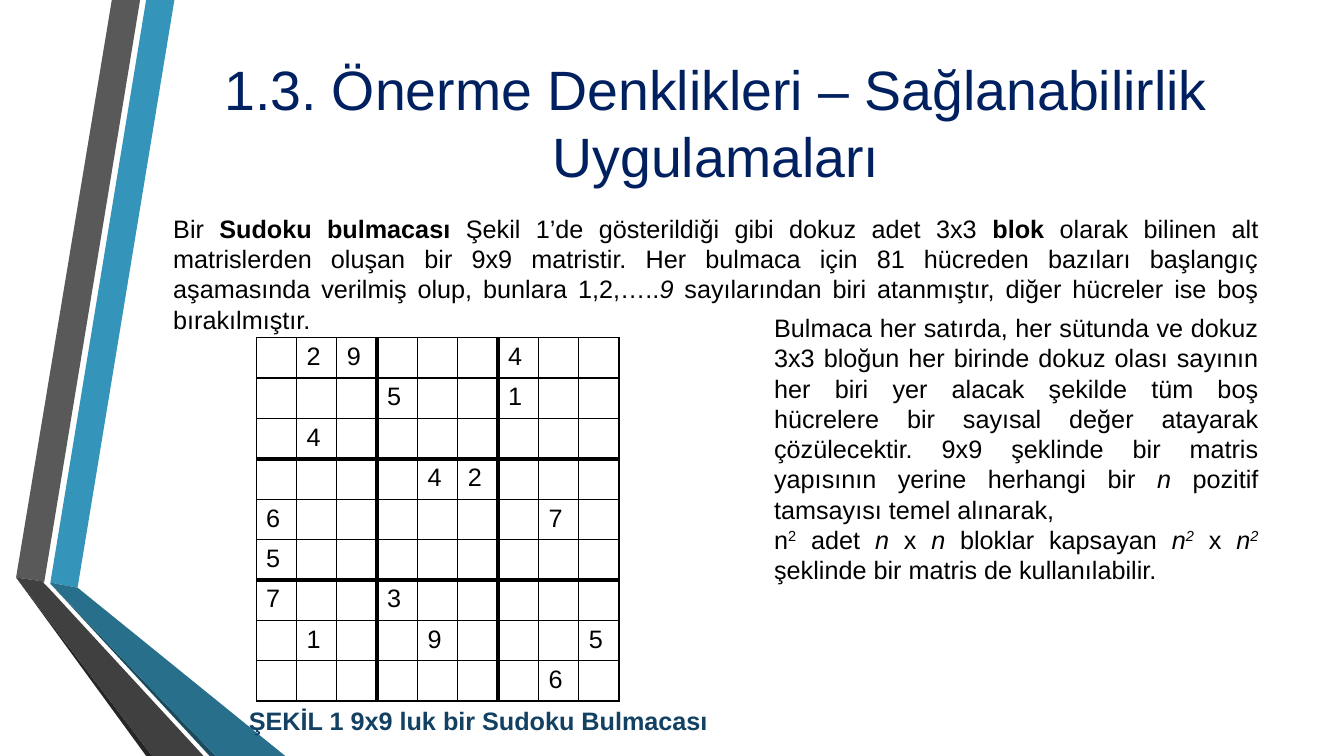
"""Build the Sudoku satisfiability slide on a grid of hundredths of an inch."""
from dataclasses import dataclass

from lxml.etree import SubElement
from pptx import Presentation
from pptx.dml.color import RGBColor
from pptx.enum.text import MSO_ANCHOR, PP_ALIGN
from pptx.oxml.ns import qn
from pptx.slide import Slide
from pptx.table import _Cell
from pptx.util import Inches, Pt

UNIT = Inches(0.01)
COLS, ROWS = 1333, 750
FONT = "Arial"
BODY_SIZE = 18
BLOCK, CELL = 3, 40
SIDE = BLOCK * BLOCK

BLACK = RGBColor(0x00, 0x00, 0x00)
NAVY = RGBColor(0x00, 0x20, 0x60)
CAPTION_BLUE = RGBColor(0x13, 0x41, 0x63)
BLUE = RGBColor(0x34, 0x94, 0xBA)
MID_BLUE = RGBColor(0x27, 0x6F, 0x8B)
DARK_BLUE = RGBColor(0x1A, 0x4A, 0x5D)
GRAY = RGBColor(0x59, 0x59, 0x59)
MID_GRAY = RGBColor(0x40, 0x40, 0x40)
DARK_GRAY = RGBColor(0x26, 0x26, 0x26)


@dataclass(frozen=True)
class Band:
    color: RGBColor
    points: tuple[tuple[int, int], ...]


@dataclass(frozen=True)
class Run:
    text: str
    bold: bool = False
    italic: bool = False
    sup: bool = False


@dataclass(frozen=True)
class TextBlock:
    col: int
    row: int
    cols: int
    rows: int
    paragraphs: tuple[tuple[Run, ...], ...]
    align: PP_ALIGN = PP_ALIGN.JUSTIFY
    anchor: MSO_ANCHOR = MSO_ANCHOR.TOP
    size: float = BODY_SIZE
    leading: float = 21.6
    color: RGBColor = BLACK
    top_inset: int = 5
    wrap: bool = True


BANDS = (
    Band(BLUE, ((50, 578), (77, 583), (173, 0), (145, 0))),
    Band(GRAY, ((139, 0), (111, 0), (16, 573), (44, 577))),
    Band(DARK_GRAY, ((16, 573), (145, 750), (151, 750))),
    Band(DARK_BLUE, ((50, 579), (208, 750), (214, 750))),
    Band(MID_BLUE, ((50, 578), (50, 579), (214, 750), (283, 750), (77, 583))),
    Band(MID_GRAY, ((202, 750), (48, 583), (43, 578), (44, 577), (16, 573), (151, 750))),
)

N = Run("n", italic=True)
N_SQUARED = (N, Run("2", italic=True, sup=True))

TITLE = TextBlock(
    162, 14, 1096, 154,
    ((Run("1.3. Önerme Denklikleri – Sağlanabilirlik Uygulamaları"),),),
    align=PP_ALIGN.CENTER, size=39.6, leading=48, color=NAVY, top_inset=40,
)
INTRO = TextBlock(
    162, 154, 1096, 235,
    ((
        Run("Bir "),
        Run("Sudoku bulmacası ", bold=True),
        Run("Şekil 1’de gösterildiği gibi dokuz adet 3x3 "),
        Run("blok ", bold=True),
        Run("olarak bilinen alt matrislerden oluşan bir 9x9 matristir. Her bulmaca "
            "için 81 hücreden bazıları başlangıç aşamasında verilmiş olup, bunlara 1,2,….."),
        Run("9", italic=True),
        Run(" sayılarından biri atanmıştır, diğer hücreler ise boş bırakılmıştır."),
    ),),
    anchor=MSO_ANCHOR.MIDDLE,
)
CAPTION = TextBlock(
    231, 695, 487, 40,
    ((Run("ŞEKİL 1 9x9 luk bir Sudoku Bulmacası", bold=True),),),
    align=PP_ALIGN.CENTER, color=CAPTION_BLUE, wrap=False,
)
RULES = TextBlock(
    758, 305, 500, 374,
    (
        (
            Run("Bulmaca her satırda, her sütunda ve dokuz 3x3 bloğun her birinde dokuz "
                "olası sayının her biri yer alacak şekilde tüm boş hücrelere bir sayısal "
                "değer atayarak çözülecektir. 9x9 şeklinde bir matris yapısının yerine "
                "herhangi bir "),
            N,
            Run(" pozitif tamsayısı temel alınarak,"),
        ),
        (
            Run("n"), Run("2", sup=True), Run(" adet "), N, Run(" x "), N,
            Run(" bloklar kapsayan "), *N_SQUARED, Run(" x "), *N_SQUARED,
            Run(" şeklinde bir matris de kullanılabilir."),
        ),
    ),
)

PUZZLE = (
    ".29...4..",
    "...5..1..",
    ".4.......",
    "....42...",
    "6......7.",
    "5........",
    "7..3.....",
    ".1..9...5",
    ".......6.",
)


def draw_band(slide: Slide, band: Band) -> None:
    builder = slide.shapes.build_freeform(*band.points[0], scale=UNIT)
    builder.add_line_segments(band.points[1:], close=True)
    sp = builder.convert_to_shape()
    sp.shadow.inherit = False
    sp.fill.solid()
    sp.fill.fore_color.rgb = band.color
    sp.line.fill.background()


def draw_text(slide: Slide, block: TextBlock) -> None:
    box = (block.col, block.row, block.cols, block.rows)
    tf = slide.shapes.add_textbox(*(n * UNIT for n in box)).text_frame
    tf.word_wrap = block.wrap
    tf.vertical_anchor = block.anchor
    tf.margin_top = block.top_inset * UNIT
    for i, runs in enumerate(block.paragraphs):
        p = tf.add_paragraph() if i else tf.paragraphs[0]
        p.alignment = block.align
        p.line_spacing = Pt(block.leading)
        for run in runs:
            r = p.add_run()
            r.text = run.text
            r.font.name = FONT
            r.font.size = Pt(block.size)
            r.font.bold = run.bold
            r.font.italic = run.italic
            r.font.color.rgb = block.color
            if run.sup:
                r._r.get_or_add_rPr().set("baseline", "30000")


def edge_width(line: int) -> int:
    return 3 if line % BLOCK == 0 and 0 < line < SIDE else 1


def set_borders(cell: _Cell, row: int, col: int) -> None:
    tcPr = cell._tc.get_or_add_tcPr()
    for side, line in (("L", col), ("R", col + 1), ("T", row), ("B", row + 1)):
        ln = SubElement(tcPr, qn(f"a:ln{side}"), w=str(Pt(edge_width(line))))
        fill = SubElement(ln, qn("a:solidFill"))
        SubElement(fill, qn("a:srgbClr"), val=str(BLACK))


def draw_puzzle(slide: Slide, col: int, row: int) -> None:
    size = SIDE * CELL * UNIT
    table = slide.shapes.add_table(SIDE, SIDE, col * UNIT, row * UNIT, size, size).table
    table.first_row = table.horz_banding = False
    for i, digits in enumerate(PUZZLE):
        table.rows[i].height = table.columns[i].width = CELL * UNIT
        for j, digit in enumerate(digits):
            cell = table.cell(i, j)
            set_borders(cell, i, j)
            cell.fill.background()
            if digit != ".":
                r = cell.text_frame.paragraphs[0].add_run()
                r.text = digit
                r.font.name = FONT
                r.font.size = Pt(BODY_SIZE)
                r.font.color.rgb = BLACK


def main() -> None:
    prs = Presentation()
    prs.slide_width, prs.slide_height = COLS * UNIT, ROWS * UNIT
    slide = prs.slides.add_slide(prs.slide_layouts[6])
    for band in BANDS:
        draw_band(slide, band)
    draw_text(slide, TITLE)
    draw_text(slide, INTRO)
    draw_puzzle(slide, 254, 335)
    draw_text(slide, CAPTION)
    draw_text(slide, RULES)
    prs.save("out.pptx")


if __name__ == "__main__":
    main()
